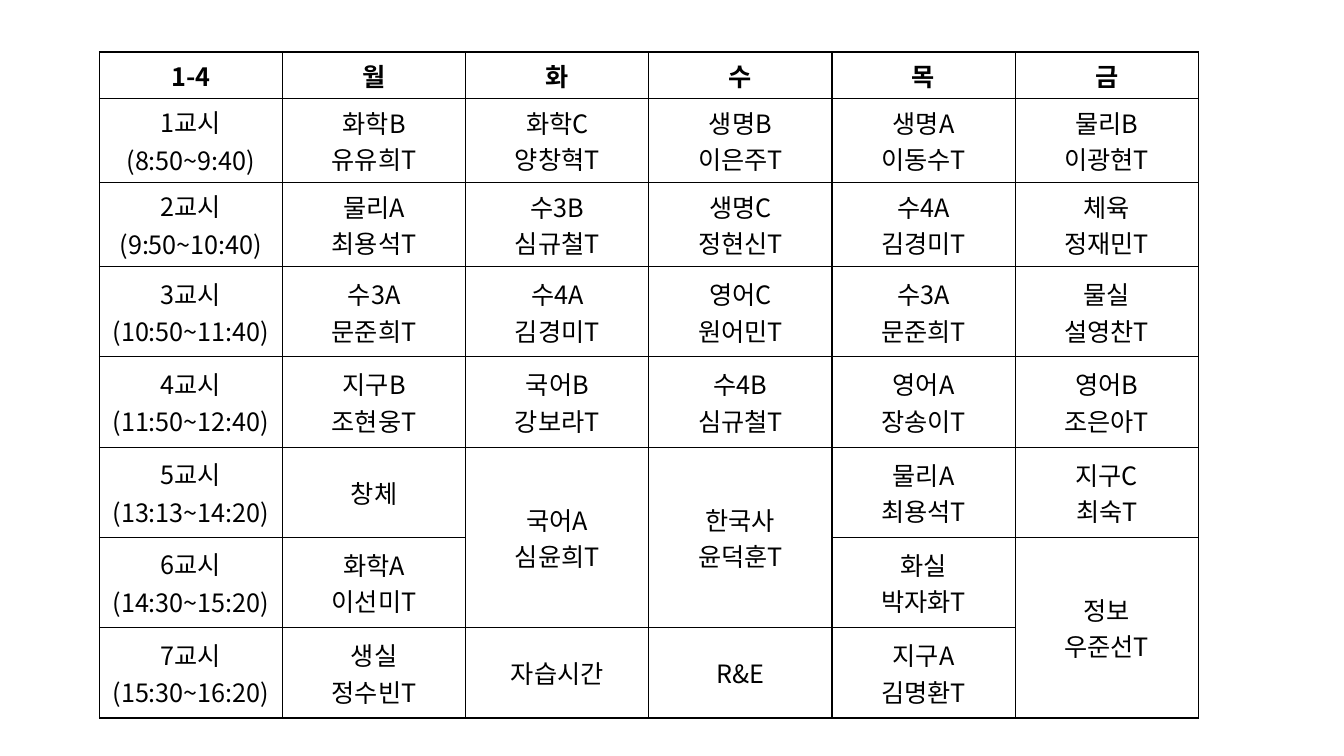
from lxml import etree
from pptx import Presentation
from pptx.dml.color import RGBColor
from pptx.enum.text import MSO_ANCHOR, PP_ALIGN
from pptx.oxml.ns import qn
from pptx.util import Pt

CENTER = PP_ALIGN.CENTER
MIDDLE = MSO_ANCHOR.MIDDLE
FONT = "Noto Sans CJK KR"
BLACK, WHITE = "000000", "FFFFFF"
BLANK_LAYOUT = 6
ABOVE = "^"
ROW_HEIGHTS = [33, 60, 60] + [64.5] * 5
TIMETABLE = [row.split() for row in (
    "1-4 월 화 수 목 금",
    "1교시/(8:50~9:40) 화학B/유유희T 화학C/양창혁T 생명B/이은주T 생명A/이동수T 물리B/이광현T",
    "2교시/(9:50~10:40) 물리A/최용석T 수3B/심규철T 생명C/정현신T 수4A/김경미T 체육/정재민T",
    "3교시/(10:50~11:40) 수3A/문준희T 수4A/김경미T 영어C/원어민T 수3A/문준희T 물실/설영찬T",
    "4교시/(11:50~12:40) 지구B/조현웅T 국어B/강보라T 수4B/심규철T 영어A/장송이T 영어B/조은아T",
    "5교시/(13:13~14:20) 창체 국어A/심윤희T 한국사/윤덕훈T 물리A/최용석T 지구C/최숙T",
    "6교시/(14:30~15:20) 화학A/이선미T ^ ^ 화실/박자화T 정보/우준선T",
    "7교시/(15:30~16:20) 생실/정수빈T 자습시간 R&E 지구A/김명환T ^",
)]


def color(value):
    """Turn a hex string into a colour."""
    return RGBColor.from_string(value)


def draw_borders(cell):
    """Rule all four sides of a cell with a thin line."""
    properties = cell._tc.get_or_add_tcPr()
    for side in ("a:lnL", "a:lnR", "a:lnT", "a:lnB"):
        line = etree.SubElement(properties, qn(side), w=str(Pt(1)))
        fill = etree.SubElement(line, qn("a:solidFill"))
        etree.SubElement(fill, qn("a:srgbClr"), val=BLACK)


def write_cell(cell, text, bold, spacing):
    """Write slash-separated lines into a cell and format them."""
    cell.vertical_anchor = MIDDLE
    cell.text_frame.text = text.replace("/", "\n")
    for para in cell.text_frame.paragraphs:
        para.alignment = CENTER
        para.space_before = para.space_after = Pt(spacing)
        for span in para.runs:
            span.font.name = FONT
            span.font.size = Pt(18)
            span.font.bold = bold
            span.font.color.rgb = color(BLACK)
            etree.SubElement(span.font._element, qn("a:ea"), typeface=FONT)


def add_timetable(page, left, top, width):
    """Place the weekly timetable in the given box."""
    row_count, column_count = len(TIMETABLE), len(TIMETABLE[0])
    table = page.shapes.add_table(
        row_count, column_count, Pt(left), Pt(top), Pt(width), Pt(sum(ROW_HEIGHTS))
    ).table
    for column in table.columns:
        column.width = Pt(width / column_count)
    for row, height in zip(table.rows, ROW_HEIGHTS):
        row.height = Pt(height)
    for r, lessons in enumerate(TIMETABLE):
        for c, text in enumerate(lessons):
            cell = table.cell(r, c)
            draw_borders(cell)
            cell.fill.solid()
            cell.fill.fore_color.rgb = color(WHITE)
            if text == ABOVE:
                table.cell(r - 1, c).merge(cell)
            else:
                write_cell(cell, text, bold=r == 0, spacing=0.3 if c == 0 else 0)


def main():
    """Build and save the timetable deck."""
    deck = Presentation()
    deck.slide_width, deck.slide_height = Pt(960), Pt(540)
    page = deck.slides.add_slide(deck.slide_layouts[BLANK_LAYOUT])
    add_timetable(page, left=71, top=37.2, width=785)
    deck.save("out.pptx")


main()
